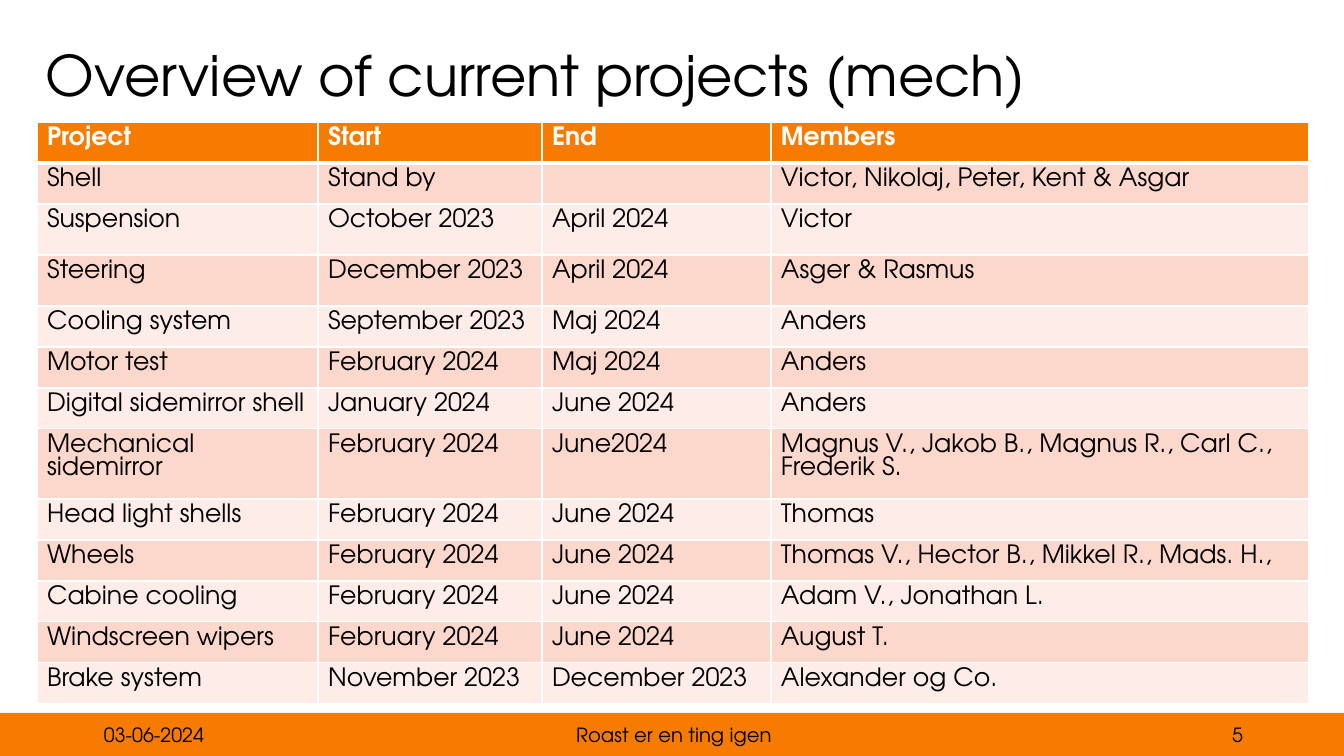
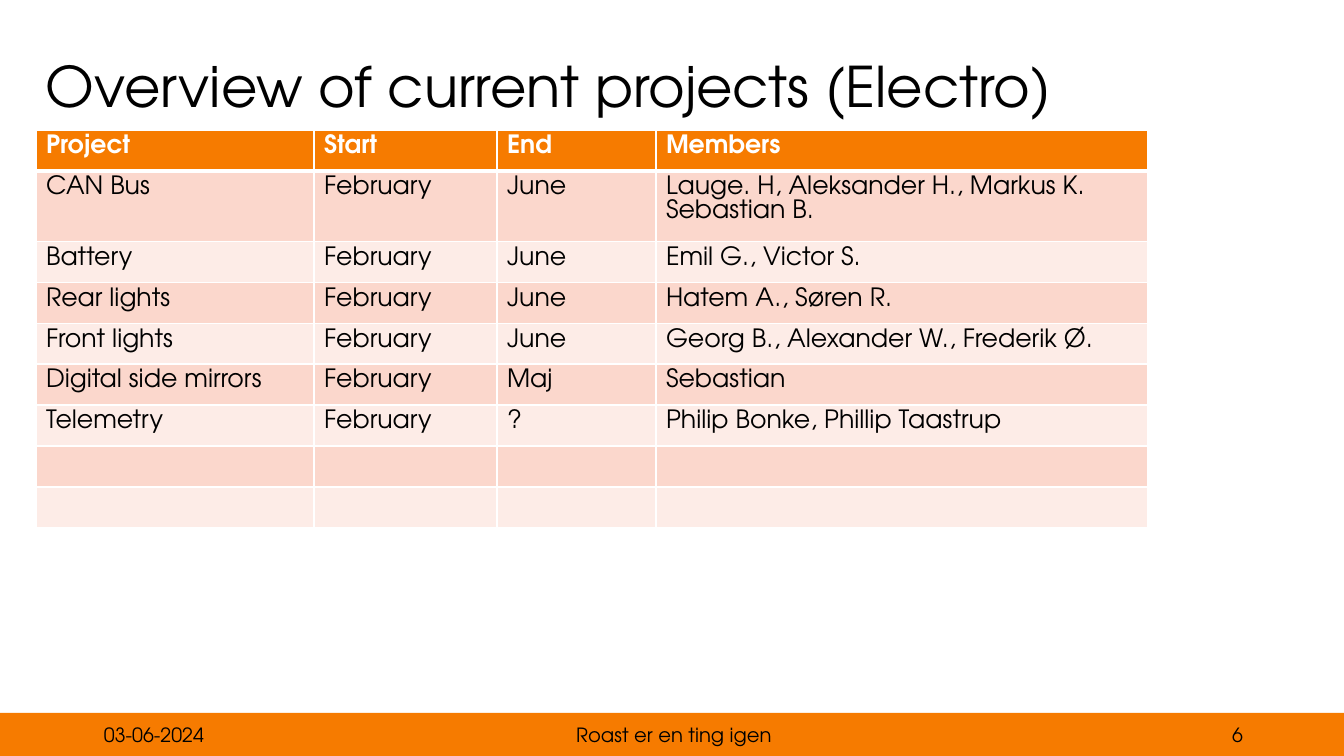
from lxml import etree
from pptx import Presentation
from pptx.dml.color import RGBColor
from pptx.enum.shapes import MSO_SHAPE
from pptx.enum.text import MSO_ANCHOR, PP_ALIGN
from pptx.oxml.ns import qn
from pptx.util import Emu, Pt

EMU_PER_PX = 914400 / 100.8
SLIDE_W, SLIDE_H = 1344, 756
BLANK_LAYOUT = 6

FONT = "TeX Gyre Adventor"
ORANGE = RGBColor(0xF6, 0x7B, 0x00)
PINK = RGBColor(0xFB, 0xD7, 0xCC)
PALE_PINK = RGBColor(0xFD, 0xEC, 0xE7)
BLACK = RGBColor(0x00, 0x00, 0x00)
WHITE = RGBColor(0xFF, 0xFF, 0xFF)

RECT = MSO_SHAPE.RECTANGLE
MIDDLE = MSO_ANCHOR.MIDDLE
LEFT, CENTER, RIGHT = PP_ALIGN.LEFT, PP_ALIGN.CENTER, PP_ALIGN.RIGHT

DATE = "03-06-2024"
MOTTO = "Roast er en ting igen"
HEADINGS = ("Project", "Start", "End", "Members")

MECH_ROWS = [
    ("Shell", "Stand by", "", "Victor, Nikolaj, Peter, Kent & Asgar"),
    ("Suspension", "October 2023", "April 2024", "Victor"),
    ("Steering", "December 2023", "April 2024", "Asger & Rasmus"),
    ("Cooling system", "September 2023", "Maj 2024", "Anders"),
    ("Motor test", "February 2024", "Maj 2024", "Anders"),
    ("Digital sidemirror shell", "January 2024", "June 2024", "Anders"),
    ("Mechanical sidemirror", "February 2024", "June2024",
     "Magnus V., Jakob B., Magnus R., Carl C., Frederik S."),
    ("Head light shells", "February 2024", "June 2024", "Thomas"),
    ("Wheels", "February 2024", "June 2024",
     "Thomas V., Hector B., Mikkel R., Mads. H.,"),
    ("Cabine cooling", "February 2024", "June 2024", "Adam V., Jonathan L."),
    ("Windscreen wipers", "February 2024", "June 2024", "August T."),
    ("Brake system", "November 2023", "December 2023", "Alexander og Co."),
]
ELECTRO_ROWS = [
    ("CAN Bus", "February", "June",
     "Lauge. H, Aleksander H., Markus K. Sebastian B."),
    ("Battery", "February", "June", "Emil G., Victor S."),
    ("Rear lights", "February", "June", "Hatem A., Søren R."),
    ("Front lights", "February", "June", "Georg B., Alexander W., Frederik Ø."),
    ("Digital side mirrors", "February", "Maj", "Sebastian"),
    ("Telemetry", "February", "?", "Philip Bonke, Phillip Taastrup"),
    ("", "", "", ""),
    ("", "", "", ""),
]

# Row heights that differ from the usual one, by row number
ROW_H = 41
MECH_HEIGHTS = {2: 51, 3: 51, 6: 38, 7: 57}
ELECTRO_HEIGHTS = {1: 57, 4: 34}


def px(n):
    return Emu(round(n * EMU_PER_PX))


def write(tf, text, size=18, color=BLACK, bold=False, align=LEFT, spacing=None):
    tf.word_wrap = True
    p = tf.paragraphs[0]
    p.alignment = align
    if spacing:
        p.line_spacing = spacing
    p.font.size = Pt(size)
    if text:
        r = p.add_run()
        r.text = text
        r.font.name = FONT
        r.font.size = Pt(size)
        r.font.bold = bold
        r.font.color.rgb = color


def add_text(slide, text, box, **fmt):
    tf = slide.shapes.add_textbox(*map(px, box)).text_frame
    tf.vertical_anchor = MIDDLE
    write(tf, text, **fmt)


def set_borders(cell, bottom_pt):
    tcPr = cell._tc.get_or_add_tcPr()
    for side, pt in (("L", 1), ("R", 1), ("T", 1), ("B", bottom_pt)):
        ln = etree.SubElement(tcPr, qn(f"a:ln{side}"), w=str(Pt(pt)))
        fill = etree.SubElement(ln, qn("a:solidFill"))
        etree.SubElement(fill, qn("a:srgbClr"), val=str(WHITE))


def add_footer(slide, number, x, y, w, h):
    # Band
    sp = slide.shapes.add_shape(RECT, px(x), px(y), px(w), px(h))
    sp.shadow.inherit = False
    sp.fill.solid()
    sp.fill.fore_color.rgb = ORANGE
    sp.line.fill.background()
    # Date, motto and slide number
    for text, left, width, align in ((DATE, 94, 302, LEFT),
                                     (MOTTO, 447, 454, CENTER),
                                     (str(number), 951, 302, RIGHT)):
        add_text(slide, text, (x + left, y + 2, width, 40), size=14, align=align)


def add_project_table(slide, rows, x, y, col_widths, heights):
    rows = [HEADINGS, *rows]
    row_heights = [heights.get(i, ROW_H) for i in range(len(rows))]
    table = slide.shapes.add_table(
        len(rows), len(HEADINGS), px(x), px(y),
        px(sum(col_widths)), px(sum(row_heights))).table
    for col, width in zip(table.columns, col_widths):
        col.width = px(width)
    for i, (row, values) in enumerate(zip(table.rows, rows)):
        row.height = px(row_heights[i])
        header = i == 0
        band = ORANGE if header else PINK if i % 2 else PALE_PINK
        for cell, text in zip(row.cells, values):
            set_borders(cell, 3 if header else 1)
            cell.fill.solid()
            cell.fill.fore_color.rgb = band
            write(cell.text_frame, text, bold=header,
                  color=WHITE if header else BLACK)


def add_project_slide(prs, number, title, title_y, rows, x, y, col_widths, heights):
    slide = prs.slides.add_slide(prs.slide_layouts[BLANK_LAYOUT])
    add_footer(slide, number, 0, 713, SLIDE_W, SLIDE_H - 713)
    add_text(slide, title, (36, title_y, 1132, 146), size=40, spacing=0.9)
    add_project_table(slide, rows, x, y, col_widths, heights)


def main():
    prs = Presentation()
    prs.slide_width, prs.slide_height = px(SLIDE_W), px(SLIDE_H)
    add_project_slide(prs, 5, "Overview of current projects (mech)", 5,
                      MECH_ROWS, 37, 122, (281, 224, 229, 538), MECH_HEIGHTS)
    add_project_slide(prs, 6, "Overview of current projects (Electro)", 16,
                      ELECTRO_ROWS, 36, 130, (278, 183, 159, 492), ELECTRO_HEIGHTS)
    prs.save("out.pptx")


if __name__ == "__main__":
    main()
